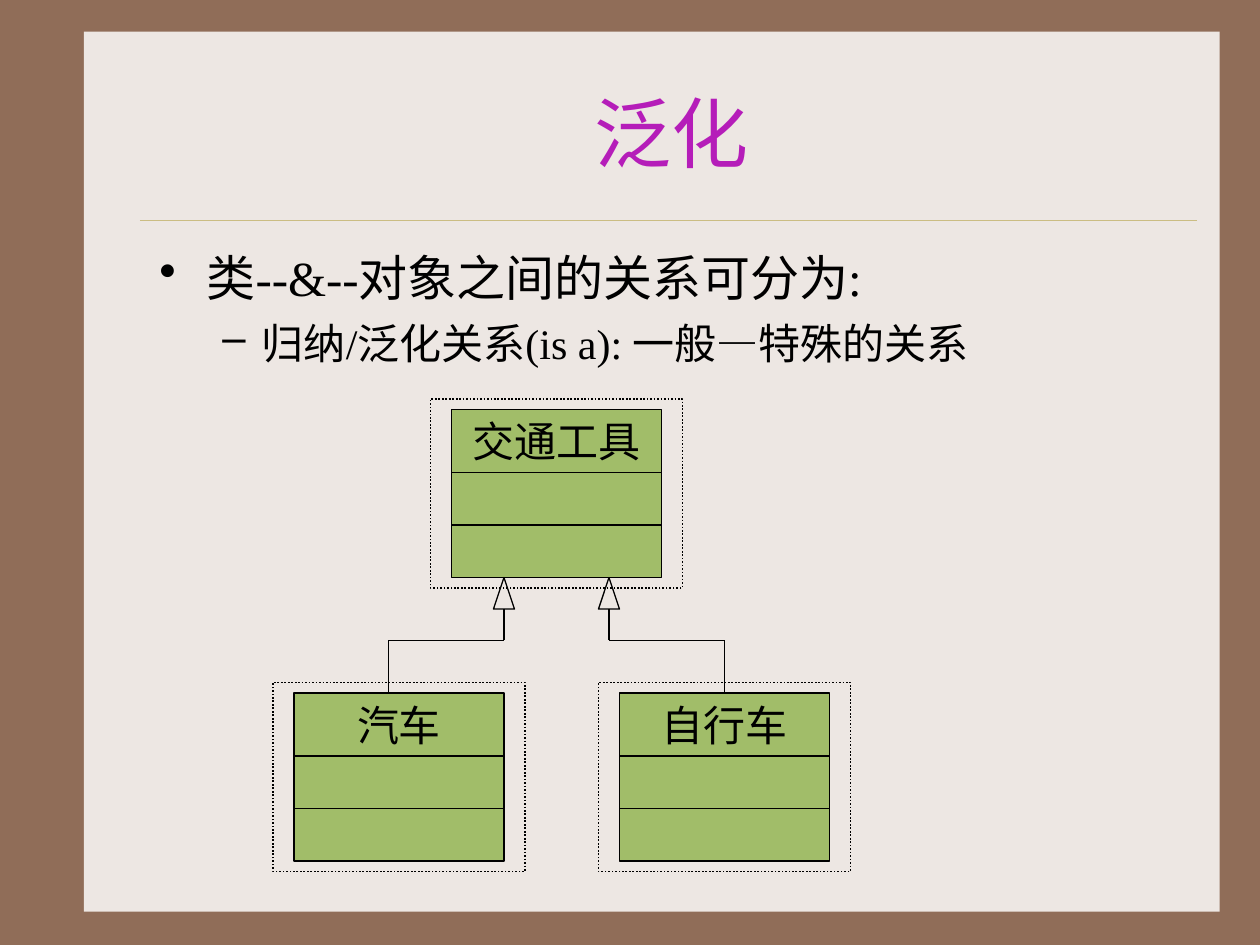
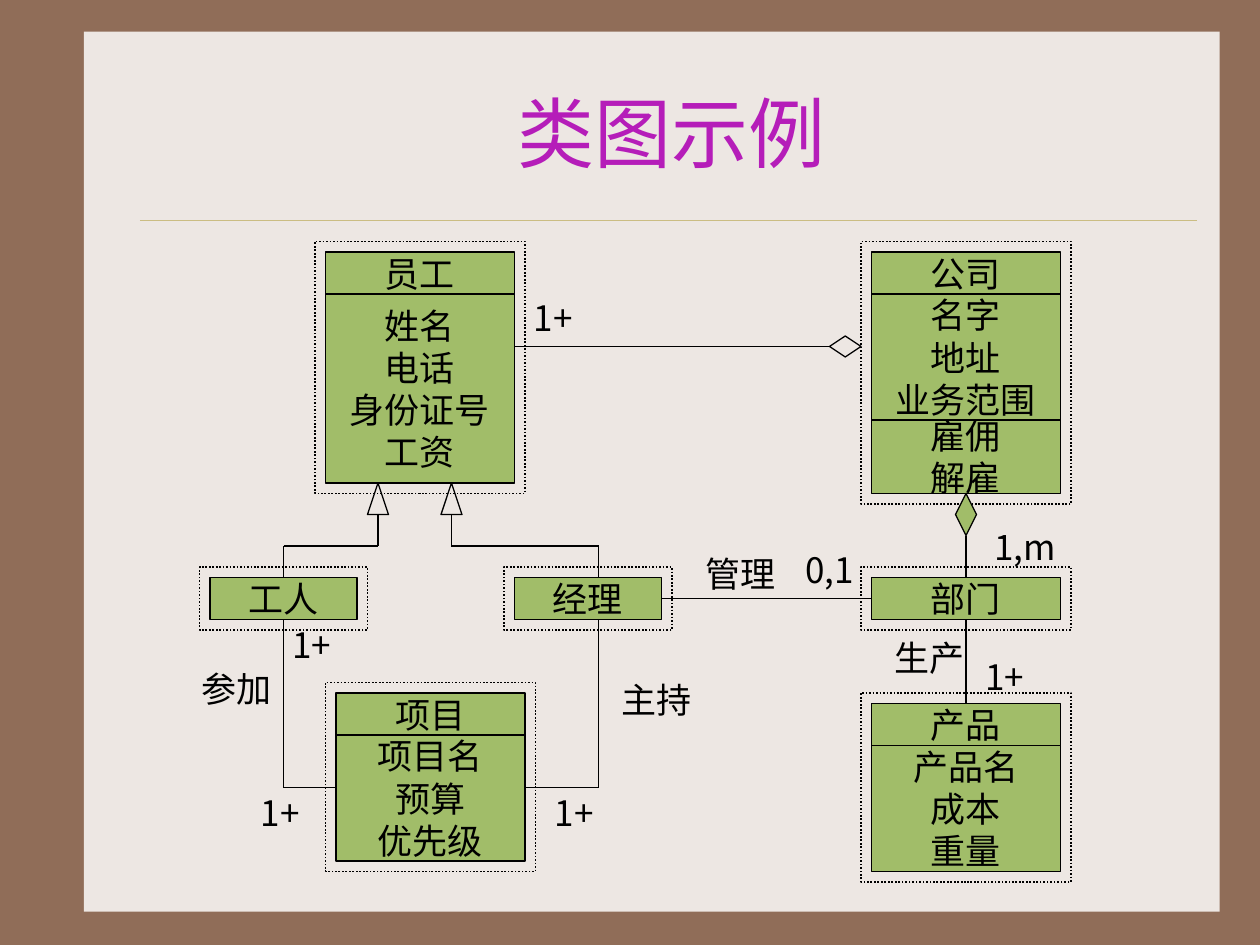
from itertools import pairwise
from lxml.etree import SubElement
from pptx import Presentation
from pptx.dml.color import RGBColor
from pptx.enum.dml import MSO_LINE
from pptx.enum.shapes import MSO_CONNECTOR, MSO_SHAPE
from pptx.enum.text import MSO_ANCHOR, PP_ALIGN
from pptx.oxml.ns import qn
from pptx.util import Pt

BROWN, PAPER, GOLD = "906D58", "EDE7E3", "CBBD83"
PURPLE, GREEN, BLACK = "B51DB9", "A1BD69", "000000"
SERIF, CJK = "Times New Roman", "Noto Sans CJK SC"
color = RGBColor.from_string


def draw_shape(slide, preset, x, y, w, h, fill=None, outline=BLACK):
    shape = slide.shapes.add_shape(preset, Pt(x), Pt(y), Pt(w), Pt(h))
    shape.shadow.inherit = False
    if fill:
        shape.fill.solid()
        shape.fill.fore_color.rgb = color(fill)
    else:
        shape.fill.background()
    if outline:
        shape.line.color.rgb = color(outline)
        shape.line.width = Pt(0.75)
    else:
        shape.line.fill.background()
    return shape


def write(frame, lines, size, font, spacing, align=PP_ALIGN.CENTER, ink=BLACK):
    for number, line in enumerate(lines):
        paragraph = frame.add_paragraph() if number else frame.paragraphs[0]
        paragraph.alignment = align
        paragraph.line_spacing = spacing
        run = paragraph.add_run()
        run.text = line
        run.font.size = Pt(size)
        run.font.color.rgb = color(ink)
        run.font.name = font
        SubElement(run._r.get_or_add_rPr(), qn("a:ea")).set("typeface", CJK)


# Body: text, size, bullet, left indent, hanging indent, space before
# Classes: x, y, width, then (height, lines) per compartment
# Triangles: tip x, tip y. Diamonds: x, y, width, height, fill
# Labels: x, y, width, text
diagrams = [
    dict(
        title="泛化", font=SERIF, size=24, side_gap=12,
        body=[("类--&--对象之间的关系可分为:", 28, "•", 27, 27, 7),
              ("归纳/泛化关系(is a): 一般—特殊的关系", 24, "–", 58.5, 22.5, 6)],
        classes=[(x, y, 120, [(36, [name]), (30, []), (30, [])])
                 for x, y, name in [(258, 234, "交通工具"), (168, 396, "汽车"),
                                    (354, 396, "自行车")]],
        triangles=[(288, 330), (348, 330)],
        diamonds=[],
        paths=[[(288, 348), (288, 366), (222, 366), (222, 396)],
               [(348, 348), (348, 366), (414, 366), (414, 396)]],
        labels=[],
    ),
    dict(
        title="类图示例", font=CJK, size=20, side_gap=6,
        body=[],
        classes=[
            (186, 144, 108, [(24, ["员工"]),
                             (108, ["姓名", "电话", "身份证号", "工资"])]),
            (498, 144, 108, [(24, ["公司"]), (72, ["名字", "地址", "业务范围"]),
                             (42, ["雇佣", "解雇"])]),
            (498, 330, 108, [(24, ["部门"])]),
            (498, 402, 108, [(24, ["产品"]), (72, ["产品名", "成本", "重量"])]),
            (294, 330, 84, [(24, ["经理"])]),
            (120, 330, 84, [(24, ["工人"])]),
            (192, 396, 108, [(24, ["项目"]), (72, ["项目名", "预算", "优先级"])]),
        ],
        triangles=[(216, 276), (258, 276)],
        diamonds=[(546, 282, 12, 24, GREEN), (474, 192, 18, 12, None)],
        paths=[
            [(216, 294), (216, 312), (162, 312), (162, 330)],
            [(258, 294), (258, 312), (342, 312), (342, 330)],
            [(162, 354), (162, 450), (192, 450)],
            [(342, 354), (342, 450), (300, 450)],
            [(378, 342), (498, 342)],
            [(552, 306), (552, 330)],
            [(552, 354), (552, 402)],
            [(294, 198), (474, 198)],
        ],
        labels=[
            (561, 297, 54, "1,m"), (556, 371, 42, "1+"), (504, 360, 60, "生产"),
            (108, 378, 60, "参加"), (160, 353, 42, "1+"), (142, 449, 42, "1+"),
            (348, 384, 60, "主持"), (310, 449, 42, "1+"), (396, 312, 60, "管理"),
            (453, 310, 54, "0,1"), (298, 166, 42, "1+"),
        ],
    ),
]

prs = Presentation()
prs.slide_width, prs.slide_height = Pt(720), Pt(540)

for diagram in diagrams:
    slide = prs.slides.add_slide(prs.slide_layouts[6])
    font, size, gap = diagram["font"], diagram["size"], diagram["side_gap"]

    # Background, panel and title
    slide.background.fill.solid()
    slide.background.fill.fore_color.rgb = color(BROWN)
    draw_shape(slide, MSO_SHAPE.RECTANGLE, 48, 18, 649, 503, PAPER, None)
    title = slide.shapes.add_textbox(Pt(84), Pt(30), Pt(600), Pt(90)).text_frame
    title.word_wrap = True
    title.vertical_anchor = MSO_ANCHOR.MIDDLE
    write(title, [diagram["title"]], 44, font, 1.0, ink=PURPLE)

    # Bulleted introduction
    if diagram["body"]:
        body = slide.shapes.add_textbox(Pt(84), Pt(138), Pt(600), Pt(90)).text_frame
        body.word_wrap = True
        write(body, [item[0] for item in diagram["body"]], size, font, 1.0, PP_ALIGN.LEFT)
        for level, (_, points, bullet, left, hang, before) in enumerate(diagram["body"]):
            paragraph = body.paragraphs[level]
            paragraph.level = level
            paragraph.space_before = Pt(before)
            paragraph.runs[0].font.size = Pt(points)
            properties = paragraph._p.get_or_add_pPr()
            properties.set("marL", str(Pt(left)))
            properties.set("indent", str(-Pt(hang)))
            SubElement(properties, qn("a:buChar")).set("char", bullet)

    # Classes: dotted frame around stacked compartments
    anchors = {}
    for x, y, w, compartments in diagram["classes"]:
        total = sum(h for h, _ in compartments)
        frame = draw_shape(slide, MSO_SHAPE.RECTANGLE,
                           x - gap, y - 6, w + 2 * gap, total + 12)
        frame.line.width = Pt(1)
        frame.line.dash_style = MSO_LINE.ROUND_DOT
        for h, lines in compartments:
            compartment = draw_shape(slide, MSO_SHAPE.RECTANGLE, x, y, w, h, GREEN)
            content = compartment.text_frame
            content.word_wrap = False
            content.vertical_anchor = MSO_ANCHOR.MIDDLE
            write(content, lines, size, font, Pt(1.2 * size))
            sides = [(x + w / 2, y), (x, y + h / 2), (x + w / 2, y + h), (x + w, y + h / 2)]
            anchors.update({point: (compartment, site) for site, point in enumerate(sides)})
            y += h

    # Generalization triangles and aggregation diamonds
    for x, y in diagram["triangles"]:
        draw_shape(slide, MSO_SHAPE.ISOSCELES_TRIANGLE, x - 6, y, 12, 18)
    for x, y, w, h, fill in diagram["diamonds"]:
        diamond = draw_shape(slide, MSO_SHAPE.DIAMOND, x, y, w, h, fill)
        anchors[x, y + h / 2] = diamond, 1
        anchors[x + w / 2, y + h] = diamond, 2

    # Title rule and relations, joined where they meet the middle of a side
    strokes = [([(80, 126), (684, 126)], GOLD, 0.25)]
    strokes += [(path, BLACK, 0.75) for path in diagram["paths"]]
    for points, ink, width in strokes:
        for start, end in pairwise(points):
            line = slide.shapes.add_connector(
                MSO_CONNECTOR.STRAIGHT, *(Pt(value) for value in start + end))
            line.line.color.rgb = color(ink)
            line.line.width = Pt(width)
            SubElement(line._element.spPr, qn("a:effectLst"))
            if start in anchors:
                line.begin_connect(*anchors[start])
            if end in anchors:
                line.end_connect(*anchors[end])

    # Role names and multiplicities, each on one line
    for x, y, w, text in diagram["labels"]:
        label = slide.shapes.add_textbox(Pt(x), Pt(y), Pt(w), Pt(32)).text_frame
        label.word_wrap = True
        write(label, [text], size, font, Pt(1.2 * size), PP_ALIGN.LEFT)

prs.save("out.pptx")
